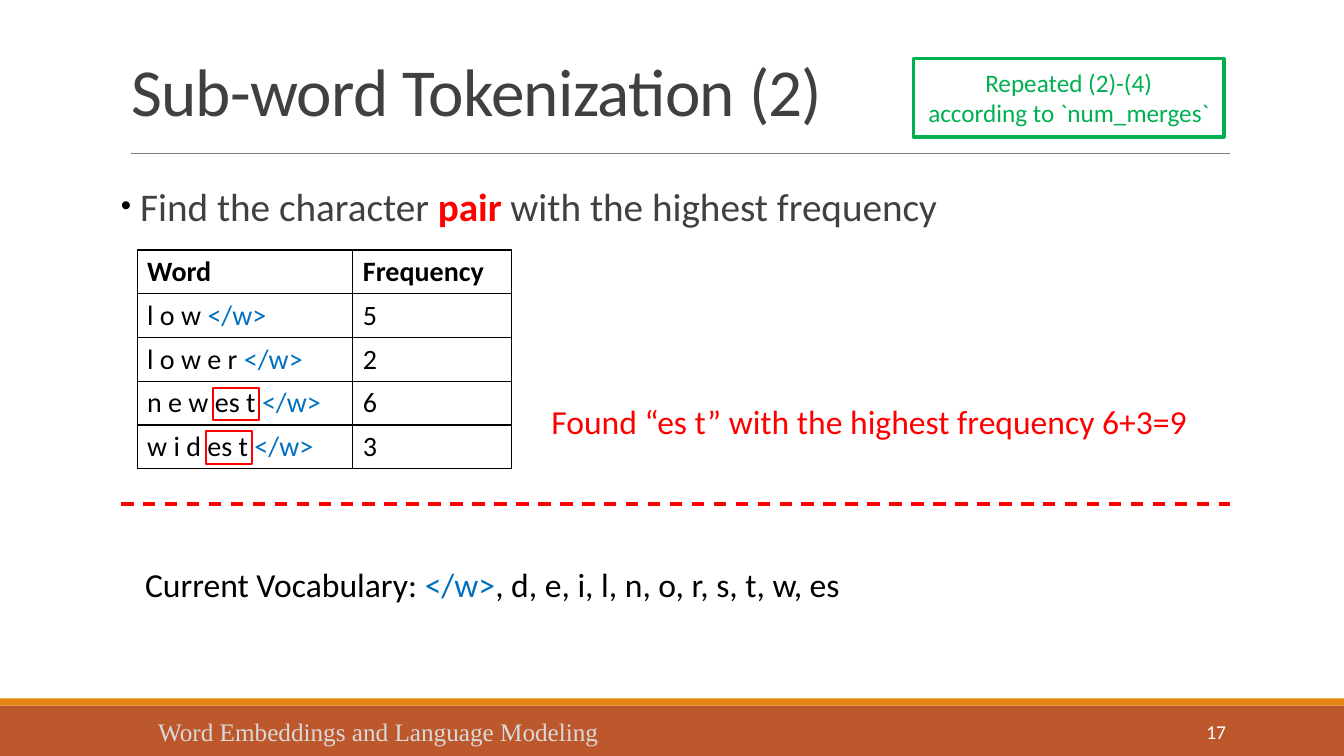
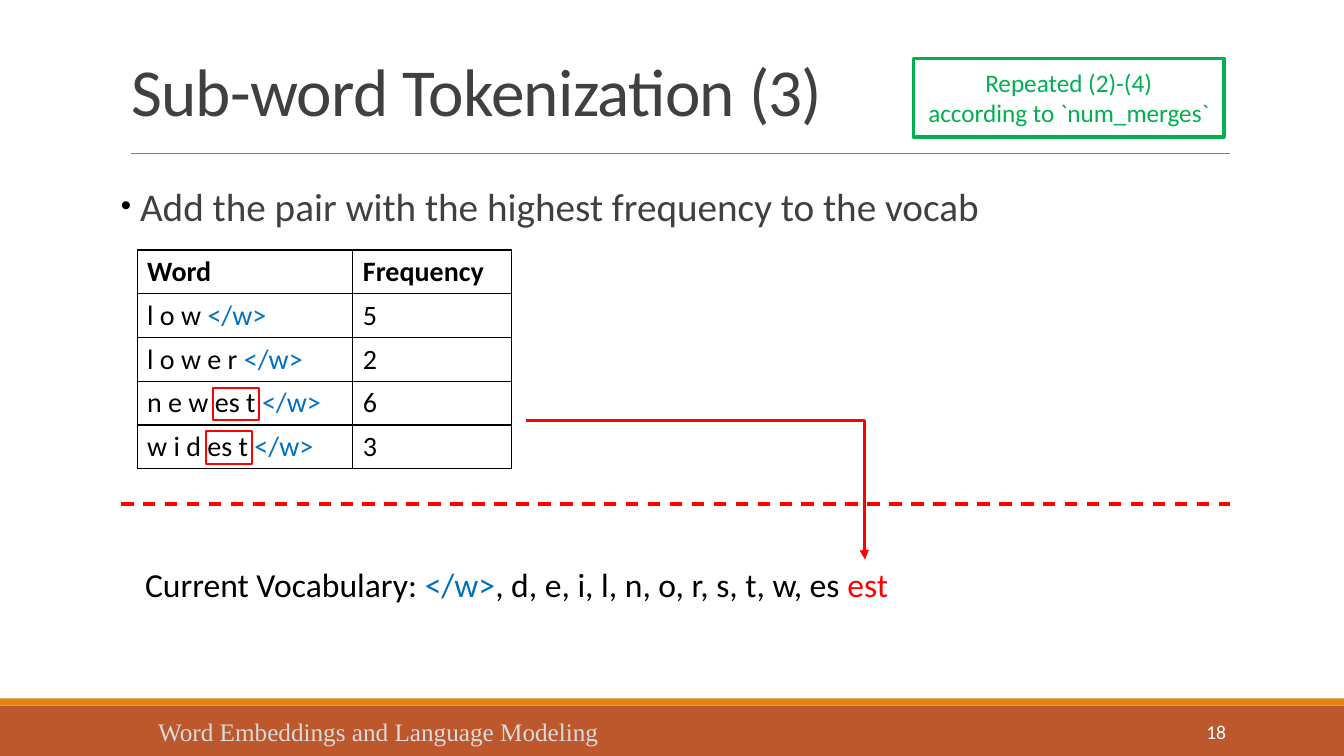
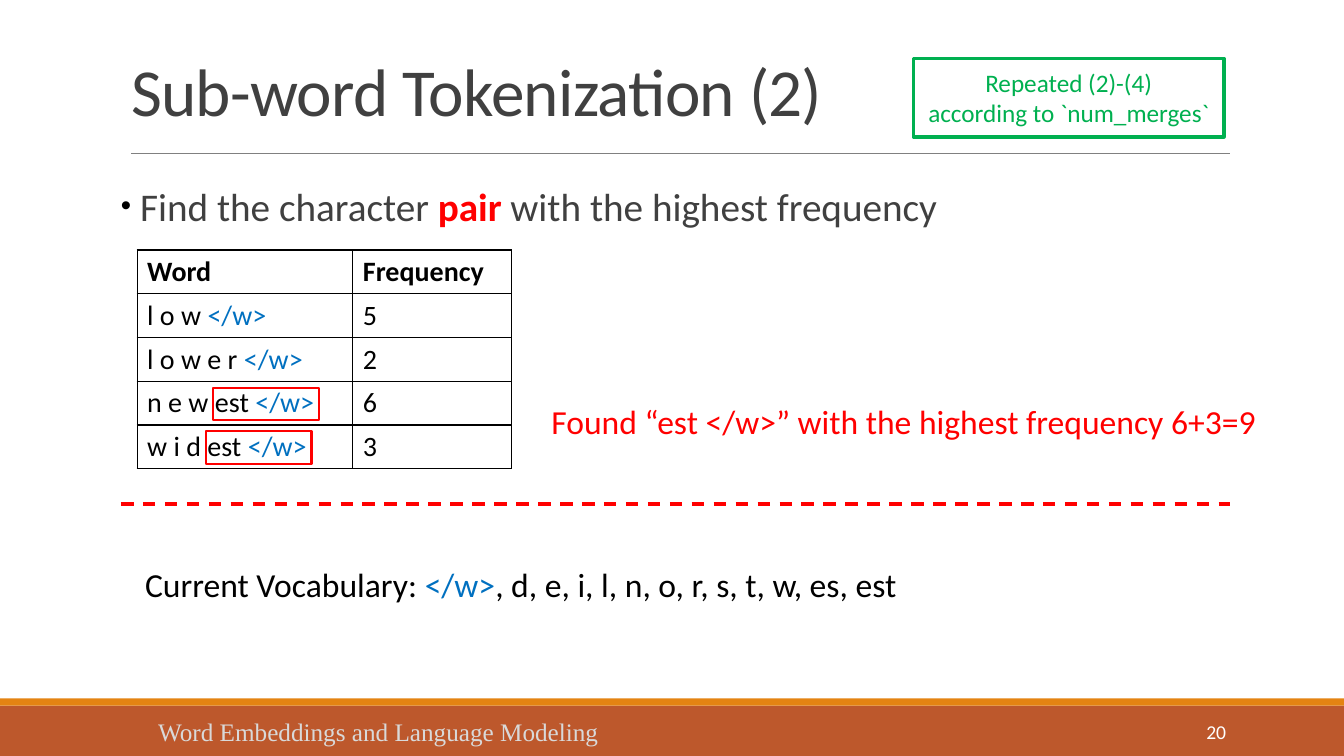
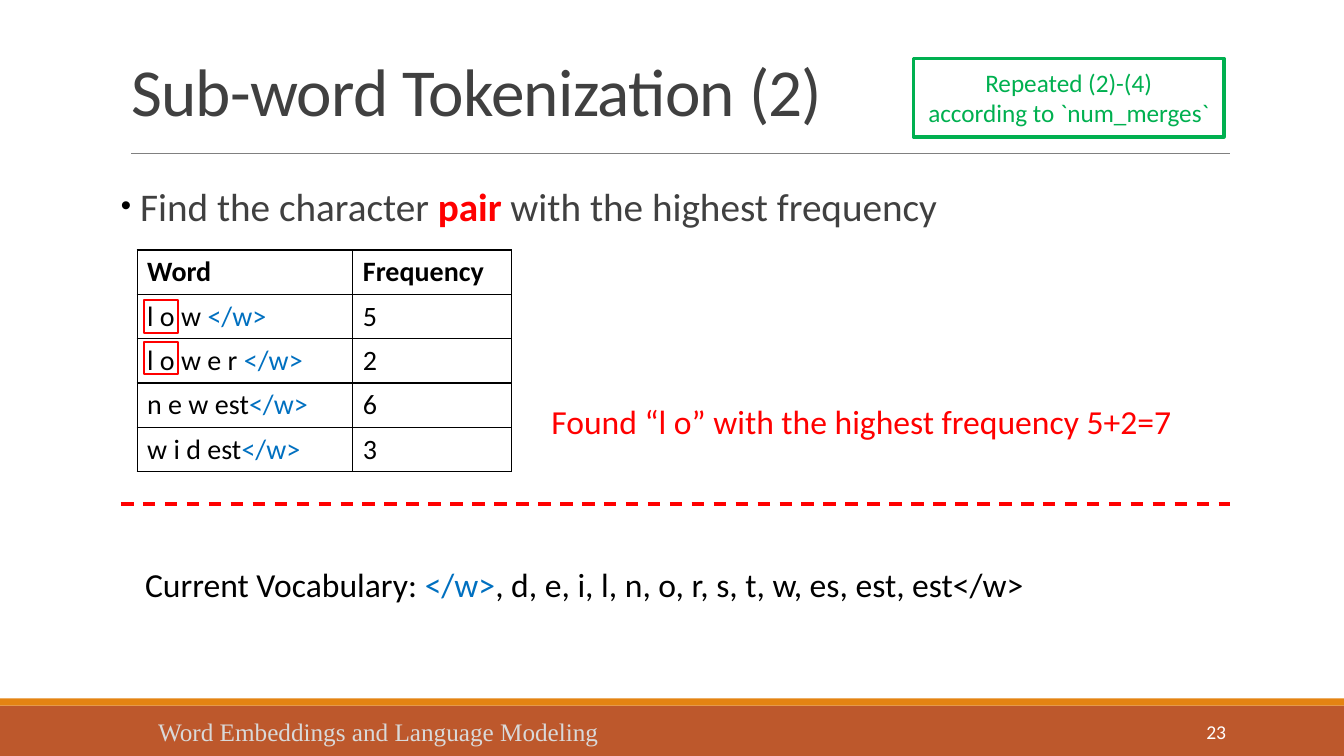
from dataclasses import dataclass
from typing import Optional

import lxml.etree
import pptx
import pptx.dml.color
import pptx.enum.dml
import pptx.enum.shapes
import pptx.enum.text
import pptx.oxml.ns
import pptx.util

Inches = pptx.util.Inches
Pt = pptx.util.Pt
qn = pptx.oxml.ns.qn
Align = pptx.enum.text.PP_ALIGN
Anchor = pptx.enum.text.MSO_ANCHOR
Connector = pptx.enum.shapes.MSO_CONNECTOR

BLACK, GREY, WHITE = "000000", "404040", "FFFFFF"
RED, BLUE, GREEN = "FF0000", "0070C0", "00B050"
RUST, ORANGE = "BD582C", "E48312"
RULE_GREY, FOOTER_GREY = "808080", "D9D9D9"
BODY_FONT, FOOTER_FONT = "Calibri", "Times New Roman"
FOOTER = "Word Embeddings and Language Modeling"
LEFT, RIGHT = 1.2, 12.2
END_TAG = "</w>"
FREQUENCIES = (5, 2, 6, 3)


@dataclass(frozen=True)
class Span:
    text: str
    color: str = BLACK
    bold: bool = False


@dataclass(frozen=True)
class Box:
    left: float
    top: float
    width: float
    height: float

    def lengths(self) -> tuple:
        return tuple(Inches(v) for v in (self.left, self.top, self.width, self.height))


@dataclass(frozen=True)
class Step:
    number: int
    title: str
    bullet: tuple[Span, ...]
    words: tuple[str, ...]
    highlights: tuple[Box, ...]
    vocabulary: tuple[Span, ...]
    vocabulary_width: float
    found: Optional[str] = None
    found_width: float = 7.21
    row_height: float = 0.43


def rgb(color: str) -> pptx.dml.color.RGBColor:
    return pptx.dml.color.RGBColor.from_string(color)


def write(frame, *paragraphs: tuple[Span, ...], size: float, font: str = BODY_FONT,
          align=Align.LEFT, anchor=Anchor.TOP) -> None:
    """Fill a text frame, with one tuple of spans for each paragraph."""
    frame.word_wrap = True
    frame.vertical_anchor = anchor
    for index, spans in enumerate(paragraphs):
        para = frame.paragraphs[0] if index == 0 else frame.add_paragraph()
        para.alignment = align
        for span in spans:
            run = para.add_run()
            run.text = span.text
            run.font.name = font
            run.font.size = Pt(size)
            run.font.bold = span.bold
            run.font.color.rgb = rgb(span.color)


def add_text(page, box: Box, *paragraphs: tuple[Span, ...], **text_format) -> None:
    shape = page.shapes.add_textbox(*box.lengths())
    write(shape.text_frame, *paragraphs, **text_format)


def add_rectangle(page, box: Box, fill: str = "", line: str = "", width: float = 1.5):
    shape = page.shapes.add_shape(pptx.enum.shapes.MSO_SHAPE.RECTANGLE, *box.lengths())
    shape.shadow.inherit = False
    if fill:
        shape.fill.solid()
        shape.fill.fore_color.rgb = rgb(fill)
    else:
        shape.fill.background()
    if line:
        shape.line.color.rgb = rgb(line)
        shape.line.width = Pt(width)
    else:
        shape.line.fill.background()
    return shape


def add_line(page, start: tuple[float, float], end: tuple[float, float], color: str,
             width: float, kind=Connector.STRAIGHT):
    points = [Inches(value) for value in (*start, *end)]
    line = page.shapes.add_connector(kind, *points)
    line.line.color.rgb = rgb(color)
    line.line.width = Pt(width)
    lxml.etree.SubElement(line.element.spPr, qn("a:effectLst"))
    return line


def add_elbow_arrow(page) -> None:
    """Lead from the table to the token that joins the vocabulary."""
    arrow = add_line(page, (5.22, 4.17), (8.58, 5.55), RED, 2.25, Connector.ELBOW)
    properties = arrow.element.spPr
    lxml.etree.SubElement(properties.find(qn("a:ln")), qn("a:tailEnd"), type="triangle")
    geometry = properties.find(qn("a:prstGeom"))
    adjustments = geometry.find(qn("a:avLst"))
    if adjustments is None:
        adjustments = lxml.etree.SubElement(geometry, qn("a:avLst"))
    lxml.etree.SubElement(adjustments, qn("a:gd"), name="adj1", fmla="val 99800")


def place(placeholder, box: Box) -> None:
    placeholder.left, placeholder.top, placeholder.width, placeholder.height = box.lengths()
    placeholder.text_frame.auto_size = pptx.enum.text.MSO_AUTO_SIZE.NONE


def add_title(page, text: str) -> None:
    title = page.shapes.title
    place(title, Box(LEFT, 0.39, 11, 1.13))
    write(title.text_frame, (Span(text, GREY),), size=48, anchor=Anchor.MIDDLE)
    title.text_frame.paragraphs[0].line_spacing = 0.85
    for properties in title.element.iter(qn("a:rPr")):
        properties.set("spc", "-50")


def add_bullet(page, spans: tuple[Span, ...]) -> None:
    body = page.placeholders[1]
    place(body, Box(LEFT, 1.52, 11, 0.92))
    frame = body.text_frame
    frame.margin_left = frame.margin_right = 0
    write(frame, spans, size=28)
    para = frame.paragraphs[0]
    para.line_spacing = 1.5
    para.space_before, para.space_after = Pt(12), Pt(2)
    properties = next(body.element.iter(qn("a:pPr")))
    properties.set("marL", str(Inches(0.1)))
    properties.set("indent", str(Inches(-0.1)))
    bullet_color = lxml.etree.SubElement(properties, qn("a:buClr"))
    lxml.etree.SubElement(bullet_color, qn("a:srgbClr"), val=BLACK)
    lxml.etree.SubElement(properties, qn("a:buSzPct"), val="75000")
    lxml.etree.SubElement(properties, qn("a:buChar"), char="•")


def add_borders(table_shape) -> None:
    for cell in table_shape.element.iter(qn("a:tc")):
        properties = cell.get_or_add_tcPr()
        for side in ("a:lnL", "a:lnR", "a:lnT", "a:lnB"):
            line = lxml.etree.SubElement(properties, qn(side), w=str(Pt(1)))
            fill = lxml.etree.SubElement(line, qn("a:solidFill"))
            lxml.etree.SubElement(fill, qn("a:srgbClr"), val=BLACK)


def add_word_table(page, words: tuple[str, ...], row_height: float) -> None:
    rows = [((Span("Word", bold=True),), (Span("Frequency", bold=True),))]
    for word, frequency in zip(words, FREQUENCIES):
        rows.append(((Span(word), Span(END_TAG, BLUE)), (Span(str(frequency)),)))
    box = Box(1.36, 2.48, 3.71, row_height * len(rows))
    shape = page.shapes.add_table(len(rows), 2, *box.lengths())
    table = shape.table
    table.first_row = table.horz_banding = False
    for column, width in zip(table.columns, (2.14, 1.57)):
        column.width = Inches(width)
    add_borders(shape)
    for row_index, row in enumerate(rows):
        table.rows[row_index].height = Inches(row_height)
        for column_index, spans in enumerate(row):
            cell = table.cell(row_index, column_index)
            cell.fill.background()
            write(cell.text_frame, spans, size=20)


def add_frame(page, number: int) -> None:
    """Draw the bands, title rule, footer and page number."""
    add_rectangle(page, Box(0, 7, 13.33, 0.5), fill=RUST)
    add_rectangle(page, Box(0, 6.93, 13.33, 0.07), fill=ORANGE)
    add_line(page, (1.3, 1.52), (RIGHT, 1.52), RULE_GREY, 0.5)
    add_text(page, Box(10.83, 7.06, 1.43, 0.4), (Span(str(number), WHITE),), size=14,
             align=Align.RIGHT, anchor=Anchor.MIDDLE)
    add_text(page, Box(1.47, 7.06, 6.95, 0.4), (Span(FOOTER, FOOTER_GREY),), size=18,
             font=FOOTER_FONT)


def add_repeat_note(page) -> None:
    note = add_rectangle(page, Box(9.06, 0.58, 3.08, 0.78), line=GREEN, width=2.25)
    write(note.text_frame, (Span("Repeated (2)-(4)", GREEN),),
          (Span("according to `num_merges`", GREEN),),
          size=18, align=Align.CENTER, anchor=Anchor.MIDDLE)


def add_step(deck, step: Step) -> None:
    page = deck.slides.add_slide(deck.slide_layouts[1])
    add_frame(page, step.number)
    add_title(page, step.title)
    add_bullet(page, step.bullet)
    add_word_table(page, step.words, step.row_height)
    for highlight in step.highlights:
        add_rectangle(page, highlight, line=RED)
    divider = add_line(page, (LEFT, 5), (RIGHT, 5), RED, 2.25)
    divider.line.dash_style = pptx.enum.dml.MSO_LINE.DASH
    if step.found:
        add_text(page, Box(5.37, 3.93, step.found_width, 0.5),
                 (Span(f"Found {step.found}", RED),), size=24)
    else:
        add_elbow_arrow(page)
    vocabulary = (Span("Current Vocabulary: "), Span(END_TAG, BLUE), *step.vocabulary)
    add_text(page, Box(1.34, 5.55, step.vocabulary_width, 0.5), vocabulary, size=24)
    add_repeat_note(page)


def est_highlights(width: float) -> tuple[Box, ...]:
    """Frame the pair in the rows of "newest" and "widest"."""
    return Box(2.11, 3.85, width, 0.32), Box(2.04, 4.28, width, 0.32)


FIND_TITLE = "Sub-word Tokenization (2)"
FIND_BULLET = (Span(" Find the character ", GREY), Span("pair", RED, True),
               Span(" with the highest frequency", GREY))
LOW_WORDS = ("l o w ", "l o w e r ")
SPLIT_WORDS = (*LOW_WORDS, "n e w es t ", "w i d es t ")
LETTERS = ", d, e, i, l, n, o, r, s, t, w, es"

STEPS = (
    Step(17, FIND_TITLE, FIND_BULLET, SPLIT_WORDS, est_highlights(0.46),
         (Span(LETTERS),), 7.21,
         found="“es t” with the highest frequency 6+3=9", found_width=6.59),
    Step(18, "Sub-word Tokenization (3)",
         (Span(" Add the pair with the highest frequency to the vocab", GREY),),
         SPLIT_WORDS, est_highlights(0.46),
         (Span(LETTERS + " "), Span("est", RED)), 7.72),
    Step(20, FIND_TITLE, FIND_BULLET, (*LOW_WORDS, "n e w est ", "w i d est "),
         est_highlights(1.05), (Span(LETTERS + ", est"),), 7.72,
         found="“est </w>” with the highest frequency 6+3=9"),
    Step(23, FIND_TITLE, FIND_BULLET, (*LOW_WORDS, "n e w est", "w i d est"),
         (Box(1.43, 2.98, 0.34, 0.32), Box(1.43, 3.39, 0.34, 0.32)),
         (Span(LETTERS + ", est, est</w>"),), 9.02,
         found="“l o” with the highest frequency 5+2=7", row_height=0.44),
)


def main() -> None:
    deck = pptx.Presentation()
    deck.slide_width, deck.slide_height = Inches(13.33), Inches(7.5)
    for step in STEPS:
        add_step(deck, step)
    deck.save("out.pptx")


if __name__ == "__main__":
    main()
